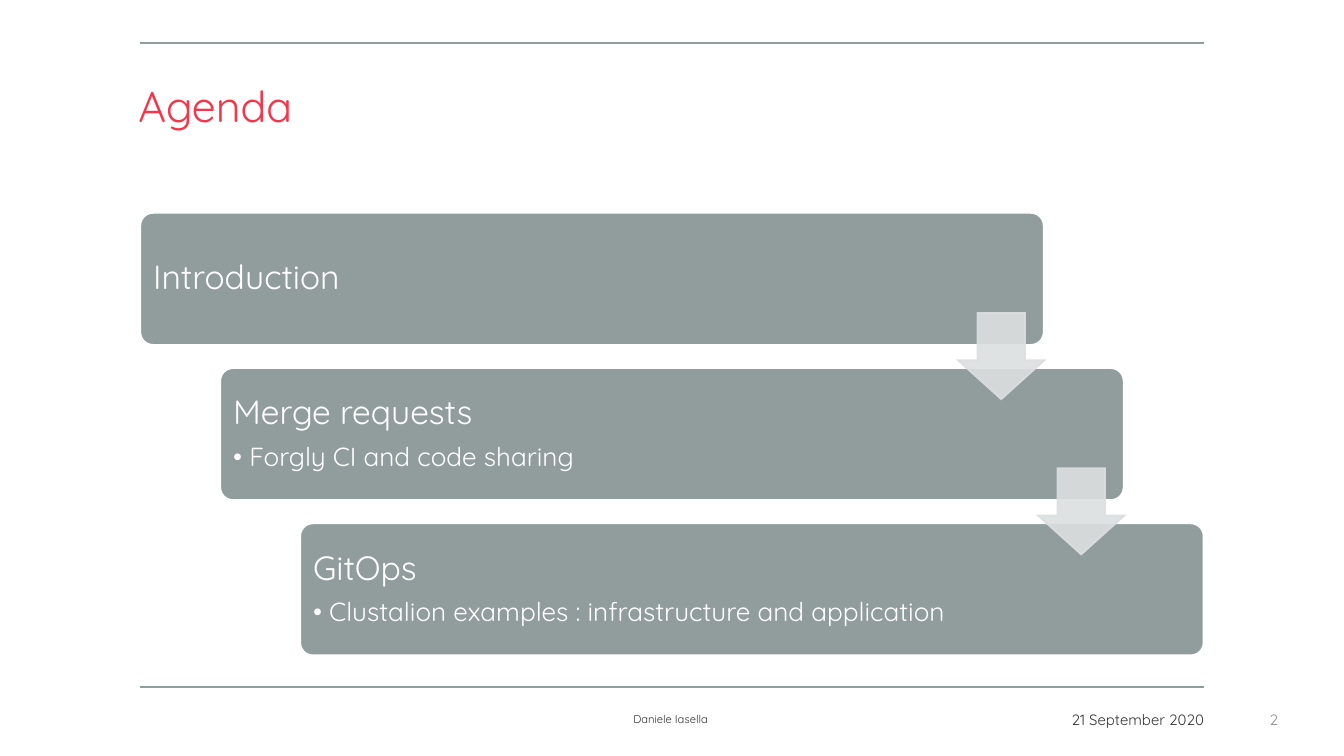
from lxml import etree
from pptx import Presentation
from pptx.dml.color import RGBColor
from pptx.enum.shapes import MSO_CONNECTOR, MSO_SHAPE
from pptx.enum.text import MSO_ANCHOR, PP_ALIGN
from pptx.oxml.ns import qn
from pptx.util import Inches, Pt

FONT = "Quicksand"
RED = RGBColor(0xF4, 0x36, 0x4B)
SAGE = RGBColor(0x91, 0x9D, 0x9D)
PALE = RGBColor(0xDC, 0xDF, 0xDF)
DARK = RGBColor(0x33, 0x33, 0x33)
GRAY = RGBColor(0x8C, 0x8C, 0x8C)
WHITE = RGBColor(0xFF, 0xFF, 0xFF)
LEFT, CENTER, RIGHT = PP_ALIGN.LEFT, PP_ALIGN.CENTER, PP_ALIGN.RIGHT
TOP, MIDDLE = MSO_ANCHOR.TOP, MSO_ANCHOR.MIDDLE
ROUNDED, DOWN_ARROW = MSO_SHAPE.ROUNDED_RECTANGLE, MSO_SHAPE.DOWN_ARROW
STRAIGHT = MSO_CONNECTOR.STRAIGHT

STEPS = [
    ("Introduction", []),
    ("Merge requests", ["Forgly CI and code sharing"]),
    ("GitOps", ["Clustalion examples : infrastructure and application"]),
]


def set_frame(tf, anchor, inset_x=0, inset_y=0):
    """Set wrapping, anchor and insets of a text frame."""
    tf.word_wrap = True
    tf.vertical_anchor = anchor
    tf.margin_left = tf.margin_right = Inches(inset_x)
    tf.margin_top = tf.margin_bottom = Inches(inset_y)


def write(p, text, size, color, align=LEFT, spacing=None, after=0):
    """Write one formatted run into a paragraph."""
    p.alignment = align
    p.line_spacing = spacing
    p.space_after = Pt(after)
    r = p.add_run()
    r.text = text
    r.font.name = FONT
    r.font.size = Pt(size)
    r.font.color.rgb = color


def add_bullet(p, indent):
    """Give a paragraph a hanging round bullet."""
    p.level = 1
    p_pr = p._p.get_or_add_pPr()
    p_pr.set("marL", str(Inches(indent)))
    p_pr.set("indent", str(-Inches(indent)))
    etree.SubElement(p_pr, qn("a:buFont")).set("typeface", FONT)
    etree.SubElement(p_pr, qn("a:buChar")).set("char", "•")


def set_alpha(shape, percent):
    """Make the fill and line of a shape partly transparent."""
    for color in shape._element.spPr.iter(qn("a:srgbClr")):
        etree.SubElement(color, qn("a:alpha")).set("val", str(percent * 1000))


def add_rule(s, left, top, width):
    """Draw a thin horizontal rule."""
    line = s.shapes.add_connector(
        STRAIGHT, Inches(left), Inches(top), Inches(left + width), Inches(top))
    line.line.color.rgb = SAGE
    line.line.width = Pt(1)
    etree.SubElement(line._element.spPr, qn("a:effectLst"))


def add_title(s, text, left, top, width, height):
    """Place and format the title placeholder."""
    title = s.shapes.title
    title.left, title.top = Inches(left), Inches(top)
    title.width, title.height = Inches(width), Inches(height)
    set_frame(title.text_frame, TOP)
    write(title.text_frame.paragraphs[0], text, 23, RED, spacing=Pt(24))


def add_text(s, left, top, width, height, inset_x, inset_y=0):
    """Add a vertically centred text box and return its frame."""
    tb = s.shapes.add_textbox(
        Inches(left), Inches(top), Inches(width), Inches(height))
    set_frame(tb.text_frame, MIDDLE, inset_x, inset_y)
    return tb.text_frame


def add_block(s, kind, left, top, width, height, fill, line, line_width):
    """Add a filled and outlined preset shape without a shadow."""
    sp = s.shapes.add_shape(
        kind, Inches(left), Inches(top), Inches(width), Inches(height))
    sp.shadow.inherit = False
    sp.fill.solid()
    sp.fill.fore_color.rgb = fill
    sp.line.color.rgb = line
    sp.line.width = Pt(line_width)
    return sp


def add_step(s, heading, bullets, left, top, width, height):
    """Add one agenda step with its heading and bullets."""
    sp = add_block(s, ROUNDED, left, top, width, height, SAGE, WHITE, 1.5)
    sp.adjustments[0] = 0.1
    text_w = width - (1.3 if bullets else 1.07)
    tf = add_text(s, left + 0.03, top + 0.03, text_w, height - 0.06, 0.07, 0.07)
    write(tf.paragraphs[0], heading, 18, WHITE, spacing=0.9, after=6.3)
    for bullet in bullets:
        p = tf.add_paragraph()
        write(p, bullet, 14, WHITE, spacing=0.9, after=2.1)
        add_bullet(p, 0.12)


def add_arrow(s, left, top, size):
    """Add a translucent arrow leading to the next step."""
    sp = add_block(s, DOWN_ARROW, left, top, size, size, PALE, PALE, 1)
    sp.adjustments[0] = 0.55
    sp.adjustments[1] = 0.45
    set_alpha(sp, 90)
    etree.SubElement(sp.line._get_or_add_ln(), qn("a:miter")).set("lim", "800000")


def add_staircase(s, steps, left, top, width, height):
    """Lay the steps out as a descending staircase joined by arrows."""
    box_w, box_h, arrow = 6.73, 0.99, 0.64
    gaps = len(steps) - 1
    dx, dy = (width - box_w) / gaps, (height - box_h) / gaps
    for i, (heading, bullets) in enumerate(steps):
        add_step(s, heading, bullets, left + i * dx, top + i * dy, box_w, box_h)
    for i in range(gaps):
        add_arrow(s, left + i * dx + box_w - arrow, top + i * dy + 0.75, arrow)


def add_footer(s, top, height):
    """Add the date, page number and author."""
    for text, left, width, size, color, align, spacing, inset_x, inset_y in (
        ("21 September 2020", 7.52, 1.44, 8, DARK, RIGHT, None, 0, 0),
        ("2", 9.25, 0.3, 8, GRAY, RIGHT, None, 0.04, 0.02),
        ("Daniele Iasella", 2.76, 4.46, 6, DARK, CENTER, 0.9, 0.1, 0.05),
    ):
        tf = add_text(s, left, top, width, height, inset_x, inset_y)
        write(tf.paragraphs[0], text, size, color, align, spacing, 6)


def main():
    """Build the agenda slide."""
    prs = Presentation()
    prs.slide_width = Inches(10)
    prs.slide_height = prs.slide_width * 9 // 16
    s = prs.slides.add_slide(prs.slide_layouts[5])
    for top in (5.11, 0.32):
        add_rule(s, 1.04, top, 7.92)
    add_title(s, "Agenda", 1.03, 0.64, 7.91, 0.83)
    add_staircase(s, STEPS, 1.04, 1.58, 7.92, 3.3)
    add_footer(s, 5.26, 0.19)
    prs.save("out.pptx")


if __name__ == "__main__":
    main()
